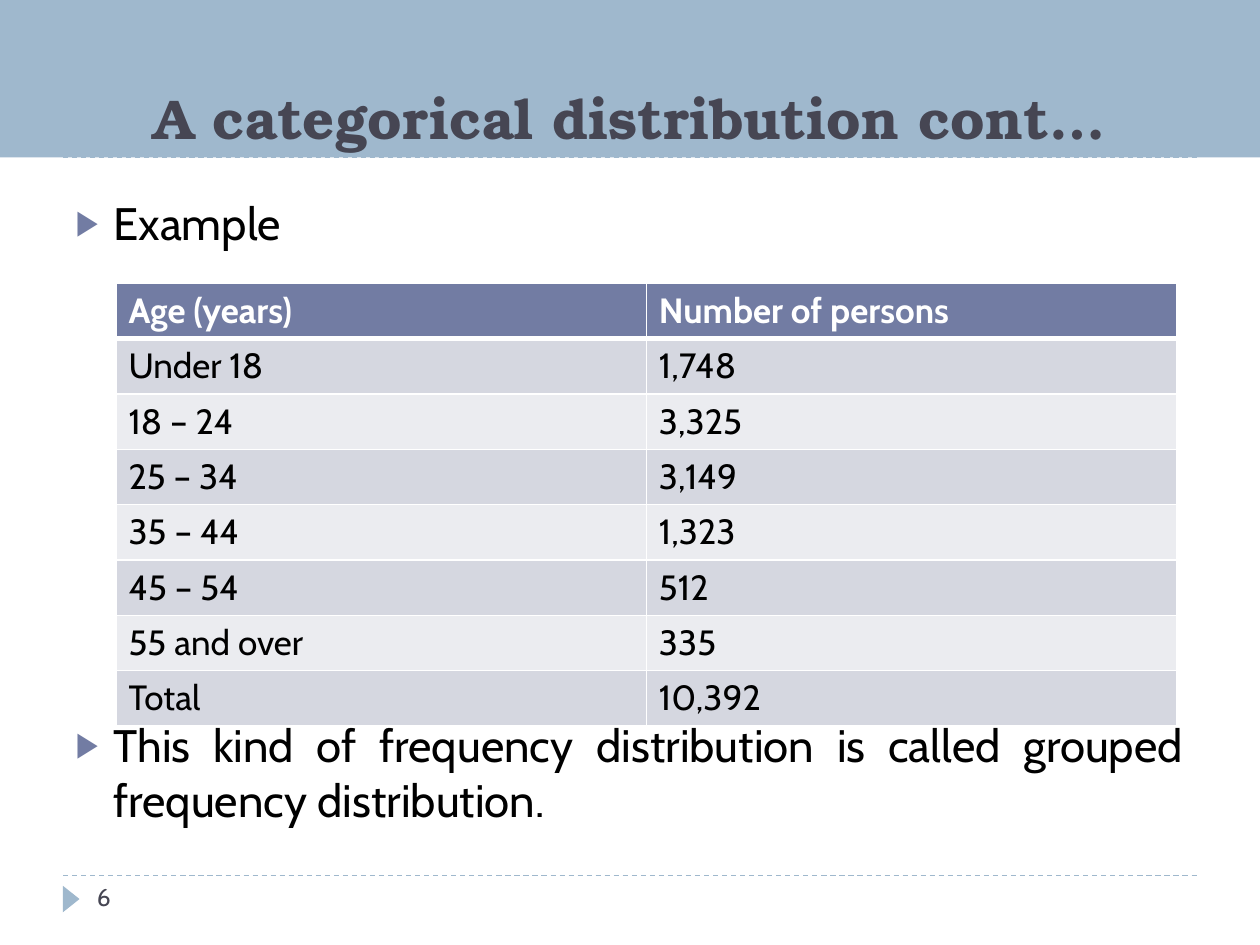
from lxml.etree import SubElement
from pptx import Presentation
from pptx.dml.color import RGBColor
from pptx.enum.dml import MSO_LINE
from pptx.enum.shapes import MSO_CONNECTOR, MSO_SHAPE
from pptx.enum.text import MSO_ANCHOR, MSO_AUTO_SIZE, PP_ALIGN
from pptx.oxml import parse_xml
from pptx.oxml.ns import nsdecls, qn
from pptx.util import Pt


def color(text):
    return RGBColor.from_string(text)


def style(para, size, tint, bold=False, face="Cabin"):
    for run in para.runs:
        font = run.font
        font.name, font.size, font.bold = face, Pt(size), bold
        font.color.rgb = color(tint)


deck = Presentation()
deck.slide_width, deck.slide_height = Pt(720), Pt(540)
slide = deck.slides.add_slide(deck.slide_layouts[1])
shapes = slide.shapes
title, body = slide.placeholders

for y in (500.4, 90):
    rule = shapes.add_connector(MSO_CONNECTOR.STRAIGHT, Pt(36), Pt(y), Pt(684), Pt(y))
    rule.line.color.rgb = color("9FB8CD")
    rule.line.width = Pt(0.75)
    rule.line.dash_style = MSO_LINE.DASH
    SubElement(rule._element.spPr, qn("a:effectLst"))

mark = shapes.add_shape(MSO_SHAPE.ISOSCELES_TRIANGLE, Pt(33.12), Pt(509), Pt(15.12), Pt(9.5))
mark.rotation = 90
mark.shadow.inherit = False
mark.fill.solid()
mark.fill.fore_color.rgb = color("9FB8CD")
mark.line.fill.background()

for holder in (title, body):
    shapes._spTree.append(holder._element)

title.left, title.top, title.width, title.height = Pt(0), Pt(0), Pt(720), Pt(90)
title.fill.solid()
title.fill.fore_color.rgb = color("9FB8CD")
frame = title.text_frame
frame.text = "A categorical distribution cont…"
frame.auto_size = MSO_AUTO_SIZE.NONE
frame.vertical_anchor = MSO_ANCHOR.BOTTOM
frame.paragraphs[0].alignment = PP_ALIGN.CENTER
style(frame.paragraphs[0], 32, "464653", True, "TeX Gyre Bonum")

body.left, body.top, body.width, body.height = Pt(36), Pt(108), Pt(648), Pt(390)
frame = body.text_frame
frame.text = "Example\nThis kind of frequency distribution is called grouped frequency distribution."
frame.auto_size = MSO_AUTO_SIZE.NONE
aligns = (PP_ALIGN.LEFT, PP_ALIGN.JUSTIFY)
for para, align, gap in zip(frame.paragraphs, aligns, (6, 267)):
    para.alignment = align
    para.space_before = Pt(gap)
    style(para, 26, "000000")
    props = para._p.get_or_add_pPr()
    props.set("marL", str(Pt(21.6)))
    props.set("indent", str(-Pt(21.6)))
    for xml in (
        '<a:buClr {}><a:srgbClr val="727CA3"/></a:buClr>',
        '<a:buSzPct {} val="76000"/>',
        '<a:buChar {} char="▶"/>',
    ):
        props.append(parse_xml(xml.format(nsdecls("a"))))

rows = [
    ("Age (years)", "Number of persons"),
    ("Under 18", "1,748"),
    ("18 – 24", "3,325"),
    ("25 – 34", "3,149"),
    ("35 – 44", "1,323"),
    ("45 – 54", "512"),
    ("55 and over", "335"),
    ("Total", "10,392"),
]
grid = shapes.add_table(len(rows), 2, Pt(66.24), Pt(162), Pt(606.24), Pt(252)).table
for i, row in enumerate(rows):
    grid.rows[i].height = Pt(31.5)
    shade = "727CA3" if i == 0 else ("EBECF0", "D5D7E0")[i % 2]
    for j, text in enumerate(row):
        cell = grid.cell(i, j)
        cell.text_frame.text = text
        style(cell.text_frame.paragraphs[0], 20, "000000" if i else "FFFFFF", i == 0)
        props = cell._tc.get_or_add_tcPr()
        for side in "LRTB":
            thick = (i, side) in ((0, "B"), (1, "T"))
            edge = SubElement(props, qn("a:ln" + side), w=str(Pt(3 if thick else 1)))
            fill = SubElement(edge, qn("a:solidFill"))
            SubElement(fill, qn("a:srgbClr"), val="FFFFFF")
        cell.fill.solid()
        cell.fill.fore_color.rgb = color(shade)

page = shapes.add_textbox(Pt(48.24), Pt(500.4), Pt(156), Pt(28.8))
page.text_frame.word_wrap = True
page.text_frame.text = "6"
style(page.text_frame.paragraphs[0], 14, "464653")

deck.save("out.pptx")
